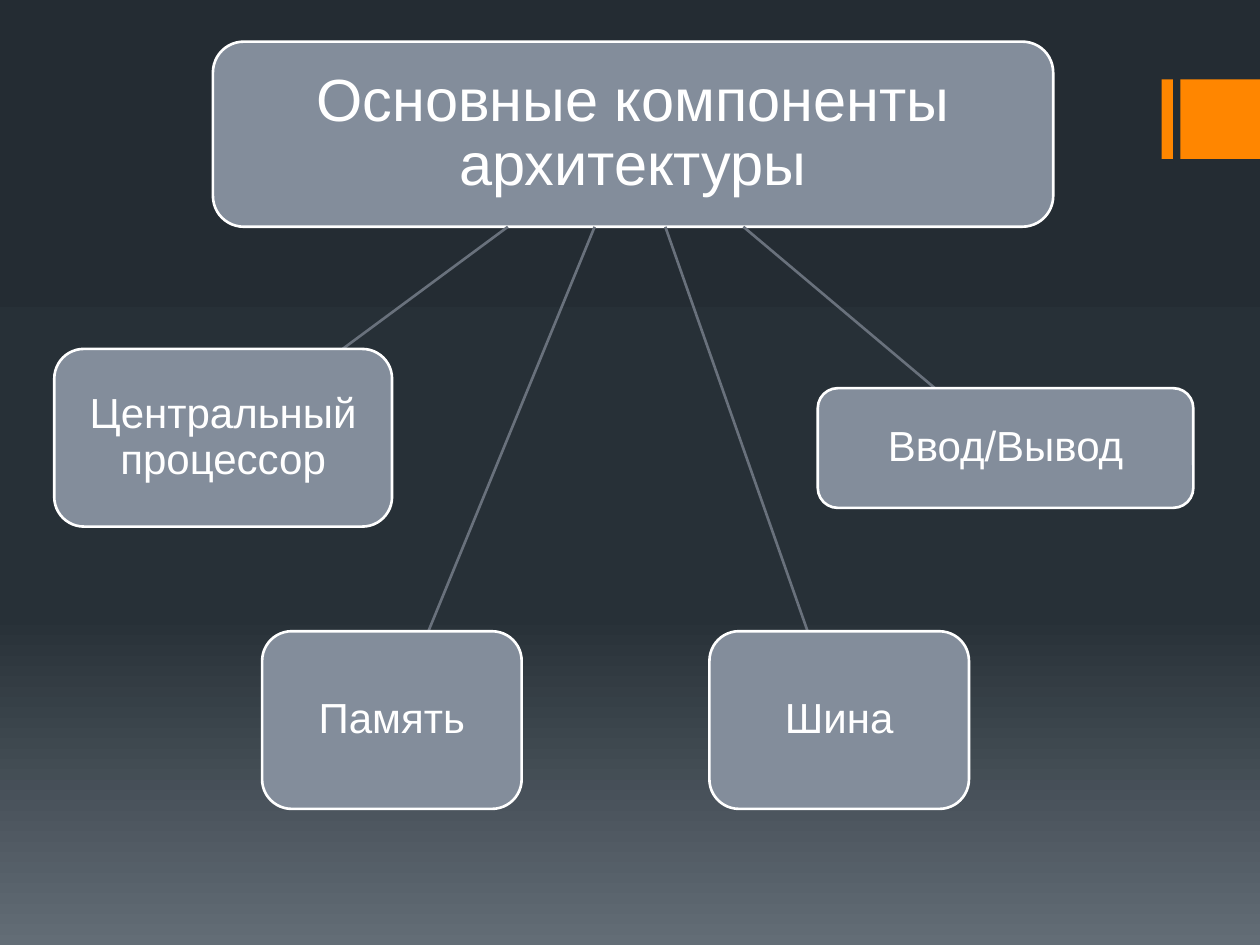
from copy import deepcopy

from pptx import Presentation
from pptx.dml.color import RGBColor
from pptx.enum.shapes import MSO_CONNECTOR, MSO_SHAPE
from pptx.enum.text import MSO_ANCHOR, PP_ALIGN
from pptx.oxml.ns import qn
from pptx.oxml.xmlchemy import OxmlElement
from pptx.util import Pt

RECT = MSO_SHAPE.RECTANGLE
ROUND = MSO_SHAPE.ROUNDED_RECTANGLE
STRAIGHT = MSO_CONNECTOR.STRAIGHT
MIDDLE = MSO_ANCHOR.MIDDLE
CENTER = PP_ALIGN.CENTER

WHITE = RGBColor(0xFF, 0xFF, 0xFF)
ORANGE = RGBColor(0xFF, 0x86, 0x00)
GREY = RGBColor(0x83, 0x8D, 0x9B)
LINK = RGBColor(0x69, 0x71, 0x7C)
SHADES = [
    (0, RGBColor(0x24, 0x2C, 0x33)),
    (0.65, RGBColor(0x27, 0x30, 0x37)),
    (1, RGBColor(0x63, 0x6D, 0x76)),
]

prs = Presentation()
prs.slide_width, prs.slide_height = Pt(720), Pt(540)
slide = prs.slides.add_slide(prs.slide_layouts[6])
shapes = slide.shapes

# Background gradient, from top to bottom
fill = slide.background.fill
fill.gradient()
fill.gradient_angle = 270
stops = slide.element.find(".//" + qn("a:gsLst"))
stops.append(deepcopy(stops[0]))
for stop, (pos, color) in zip(fill.gradient_stops, SHADES):
    stop.position = pos
    stop.color.rgb = color

# Orange bars at the right edge
for left, width in [(663.8, 6.5), (674.6, 45.4)]:
    bar = shapes.add_shape(RECT, Pt(left), Pt(45.4), Pt(width), Pt(45.4))
    bar.shadow.inherit = False
    bar.fill.solid()
    bar.fill.fore_color.rgb = ORANGE
    bar.line.fill.background()


def add_box(text, left, top, width, height, size, inset):
    box = shapes.add_shape(ROUND, Pt(left), Pt(top), Pt(width), Pt(height))
    box.shadow.inherit = False
    box.fill.solid()
    box.fill.fore_color.rgb = GREY
    box.line.color.rgb = WHITE
    box.line.width = Pt(1.5)
    frame = box.text_frame
    frame.word_wrap = True
    frame.vertical_anchor = MIDDLE
    frame.margin_left = frame.margin_right = Pt(inset)
    frame.margin_top = frame.margin_bottom = Pt(inset)
    frame.text = text
    para = frame.paragraphs[0]
    para.alignment = CENTER
    para.line_spacing = 0.9
    para.font.name = "Arial"
    para.font.size = Pt(size)
    para.font.color.rgb = WHITE


ROOT_TOP, ROOT_HIGH = 23.8, 105.8
add_box("Основные компоненты архитектуры",
        121.7, ROOT_TOP, 480.2, ROOT_HIGH, 34, 11.5)

# Text, left, top, width, height, link start x, link end x
PARTS = [
    ("Ввод/Вывод", 467.3, 221.8, 214.6, 68.4, 424.8, 534.2),
    ("Шина", 405.4, 360.7, 148.3, 101.5, 380.2, 461.5),
    ("Память", 149.8, 360.7, 148.3, 101.5, 339.8, 244.8),
    ("Центральный процессор", 31, 199.4, 193, 101.5, 290.2, 195.8),
]
for text, left, top, width, height, start, end in PARTS:
    link = shapes.add_connector(
        STRAIGHT, Pt(start), Pt(ROOT_TOP + ROOT_HIGH), Pt(end), Pt(top))
    link.line.color.rgb = LINK
    link.line.width = Pt(1.5)
    link.element.spPr.append(OxmlElement("a:effectLst"))
    add_box(text, left, top, width, height, 24, 10)

prs.save("out.pptx")
